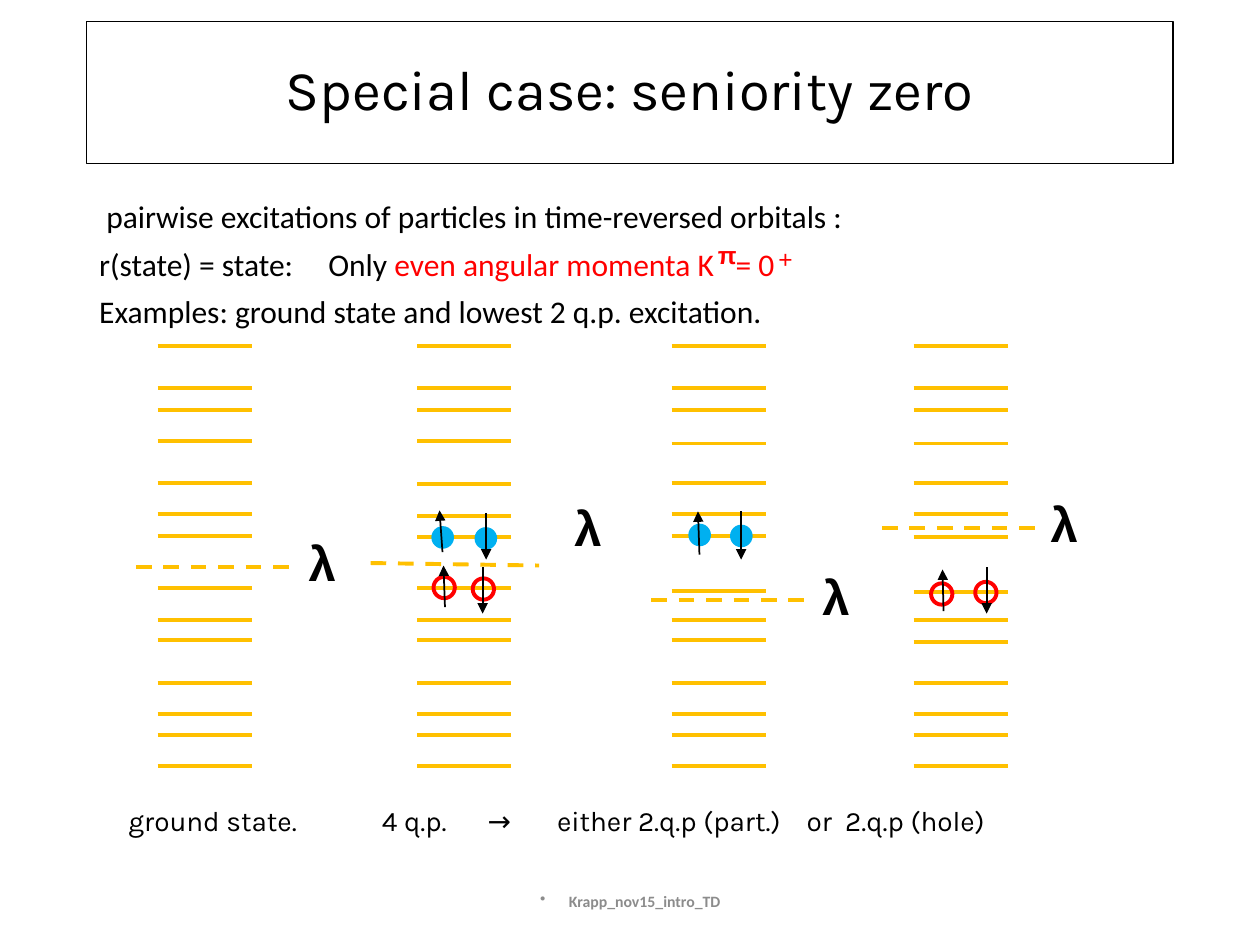
from dataclasses import dataclass, field

from lxml.etree import SubElement
from pptx import Presentation
from pptx.dml.color import RGBColor
from pptx.enum.dml import MSO_LINE_DASH_STYLE as Dash
from pptx.enum.shapes import MSO_CONNECTOR as Conn, MSO_SHAPE as Shape
from pptx.enum.text import MSO_ANCHOR as Anchor, PP_ALIGN as Align
from pptx.oxml.ns import qn
from pptx.util import Cm, Pt

BLACK, GOLD, BLUE, RED, GREY = "000000", "FFC000", "00B0F0", "FF0000", "8C8C8C"
LEVELS = [6.98, 7.82, 8.26, 8.89, 9.73, 10.36, 10.8,
          11.86, 12.5, 12.9, 13.77, 14.4, 14.81, 15.44]
WIDTH, DOT = 1.9, 0.43


@dataclass
class Spin:
    """A particle or hole (left, top) with its spin arrow (x1, y1, x2, y2)."""
    spot: tuple
    arrow: tuple
    hole: bool = False


@dataclass
class Column:
    """A level scheme; moved maps a level's index to its own height."""
    left: float
    fermi: tuple
    label: tuple
    moved: dict = field(default_factory=dict)
    spins: list = field(default_factory=list)


COLUMNS = [
    Column(3.18, (2.74, 11.43, 5.92, 11.43), (5.97, 10.62)),
    Column(8.41, (7.47, 11.35, 10.87, 11.4), (11.33, 9.91),
           {4: 9.75, 5: 10.41, 6: 10.82},
           [Spin((8.71, 10.62), (8.92, 11.13, 8.86, 10.29)),
            Spin((9.58, 10.64), (9.8, 10.34, 9.8, 11.28)),
            Spin((8.74, 11.63), (8.97, 12.24, 8.94, 11.4), True),
            Spin((9.53, 11.66), (9.73, 11.43, 9.73, 12.37), True)]),
    Column(13.54, (13.13, 12.09, 16.31, 12.09), (16.33, 11.3),
           {3: 8.94, 7: 11.91},
           [Spin((13.89, 10.57), (14.1, 11.18, 14.07, 10.31)),
            Spin((14.73, 10.59), (14.94, 10.31, 14.94, 11.28))]),
    Column(18.42, (17.78, 10.64, 20.96, 10.64), (20.93, 9.83),
           {3: 8.94, 6: 10.82, 7: 11.94, 9: 12.95},
           [Spin((18.77, 11.76), (19.02, 12.32, 19.0, 11.48), True),
            Spin((19.66, 11.73), (19.89, 11.43, 19.89, 12.37), True)]),
]


def rgb(code: str) -> RGBColor:
    return RGBColor.from_string(code)


def style(para, size: float, name: str, color: str, bold: bool = False) -> None:
    font = para.font
    font.size, font.name, font.bold = Pt(size), name, bold
    font.color.rgb = rgb(color)


def tabs(para, *stops: float) -> None:
    tab_list = SubElement(para._p.get_or_add_pPr(), qn("a:tabLst"))
    for stop in stops:
        SubElement(tab_list, qn("a:tab"), pos=str(int(Cm(stop))), algn="l")


def box(slide, left: float, top: float, width: float, height: float):
    frame = slide.shapes.add_textbox(Cm(left), Cm(top), Cm(width), Cm(height)).text_frame
    frame.word_wrap = True
    return frame


def label(slide, area: tuple, text: str, size: float, name: str,
          color: str = BLACK, bold: bool = False):
    para = box(slide, *area).paragraphs[0]
    para.text = text
    para.space_before = Pt(size * 0.2)
    style(para, size, name, color, bold)
    return para


def line(slide, ends: tuple, color: str, weight: float):
    link = slide.shapes.add_connector(Conn.STRAIGHT, *map(Cm, ends))
    link.line.color.rgb = rgb(color)
    link.line.width = Pt(weight)
    SubElement(link._element.spPr, qn("a:effectLst"))
    return link


def arrow(slide, ends: tuple) -> None:
    ln = line(slide, ends, BLACK, 1).line._get_or_add_ln()
    SubElement(ln, qn("a:tailEnd"), type="triangle")


def dot(slide, spin: Spin) -> None:
    disc = slide.shapes.add_shape(Shape.FLOWCHART_CONNECTOR, *map(Cm, (*spin.spot, DOT, DOT)))
    disc.shadow.inherit = False
    if spin.hole:
        disc.fill.background()
    else:
        disc.fill.solid()
        disc.fill.fore_color.rgb = rgb(BLUE)
    disc.line.color.rgb = rgb(RED if spin.hole else BLUE)
    disc.line.width = Pt(2.25 if spin.hole else 0.75)


def draw(slide, col: Column) -> None:
    for i, level in enumerate(LEVELS):
        y = col.moved.get(i, level)
        line(slide, (col.left, y, col.left + WIDTH, y), GOLD, 2.25)
    line(slide, col.fermi, GOLD, 2.25).line.dash_style = Dash.DASH
    for spin in col.spins:
        dot(slide, spin)
    for spin in col.spins:
        arrow(slide, spin.arrow)
    label(slide, (*col.label, 0.84, 1.45), "λ", 28, "Arial", bold=True)


def head(slide) -> None:
    title = slide.shapes.title
    title.left, title.top, title.width, title.height = map(Cm, (1.75, 0.43, 21.9, 2.87))
    title.line.color.rgb = rgb(BLACK)
    title.line.width = Pt(0.75)
    title.text_frame.vertical_anchor = Anchor.MIDDLE
    para = title.text_frame.paragraphs[0]
    para.text = "Special case: seniority zero"
    para.alignment, para.line_spacing = Align.CENTER, 0.9
    style(para, 32, "Karla", BLACK)


def body(slide) -> None:
    frame = box(slide, 1.75, 3.94, 21.9, 13.23)
    rows = [[(" pairwise excitations of particles in time-reversed orbitals :", BLACK)],
            [("r(state) = state:\tOnly ", BLACK), ("even angular momenta K\t= 0", RED)],
            [("Examples: ground state and lowest 2 q.p. excitation.", BLACK)]]
    for i, row in enumerate(rows):
        para = frame.add_paragraph() if i else frame.paragraphs[0]
        para.line_spacing, para.space_before = 0.9, Pt(7.5)
        style(para, 18, "Calibri", BLACK)
        for text, color in row:
            run = para.add_run()
            run.text = text
            run.font.color.rgb = rgb(color)
    tabs(frame.paragraphs[1], 4.62, 12.83)
    # Raised signs
    label(slide, (14.22, 4.72, 0.89, 0.86), "π", 14, "Arial", RED, True)
    label(slide, (15.44, 4.8, 0.61, 0.86), "+", 14, "Arial", RED)


def foot(slide) -> None:
    frame = box(slide, 8.41, 17.65, 8.59, 1.02)
    frame.vertical_anchor = Anchor.MIDDLE
    para = frame.paragraphs[0]
    para.text = "Krapp_nov15_intro_TD"
    para.alignment = Align.CENTER
    style(para, 9, "Calibri", GREY, True)
    props = para._p.get_or_add_pPr()
    props.set("marL", str(int(Cm(0.58))))
    props.set("indent", str(-int(Cm(0.58))))
    mark = SubElement(props, qn("a:buChar"), char="•")
    props.remove(mark)
    props.insert(0, mark)


def main() -> None:
    deck = Presentation()
    deck.slide_width, deck.slide_height = Cm(25.4), Cm(19.05)
    slide = deck.slides.add_slide(deck.slide_layouts[5])
    head(slide)
    body(slide)
    # Level schemes
    for col in COLUMNS:
        draw(slide, col)
    # Caption under the schemes
    note = label(slide, (2.34, 16.08, 20.52, 0.94),
                 "ground state.\t4 q.p.\t→\teither 2.q.p (part.)\tor\t2.q.p (hole)", 16, "Karla")
    tabs(note, 5.11, 7.24, 8.64, 13.67, 14.45)
    foot(slide)
    deck.save("out.pptx")


if __name__ == "__main__":
    main()
